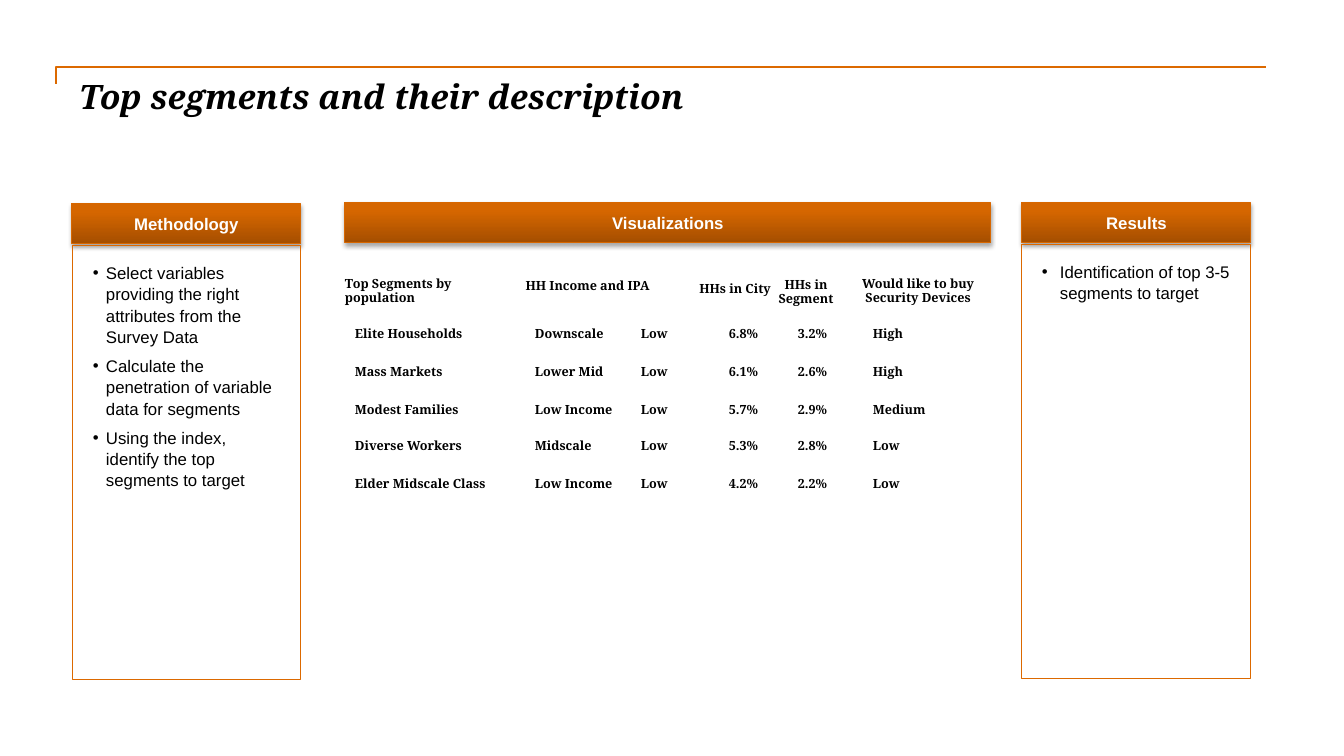
from pptx import Presentation
from pptx.dml.color import RGBColor
from pptx.enum.shapes import MSO_SHAPE as Shape
from pptx.enum.text import MSO_ANCHOR as Anchor, PP_ALIGN as Align
from pptx.oxml import parse_xml
from pptx.oxml.ns import nsdecls, qn
from pptx.util import Emu, Pt

TITLE = "Top segments and their description"
# heading, header box, body box, bullet indent, bullets
PANELS = [
    ("Methodology", (72, 204, 229, 40), (73, 246, 228, 434), 13,
     ["Select variables providing the right attributes from the Survey Data",
      "Calculate the penetration of variable data for segments",
      "Using the index, identify the top segments to target"]),
    ("Results", (1022, 203, 229, 40), (1022, 245, 229, 434), 18,
     ["Identification of top 3-5 segments to target"]),
]
VISUALS = ("Visualizations", (345, 203, 646, 40))
COLUMN_HEADS = [
    ("Top Segments by population", (345, 275, 148, 30), Align.LEFT),
    ("HH Income and IPA", (513, 278, 149, 15), Align.CENTER),
    ("HHs in City", (697, 281, 76, 15), Align.CENTER),
    ("HHs in Segment", (765, 276, 82, 30), Align.CENTER),
    ("Would like to buy Security Devices", (846, 275, 144, 30), Align.CENTER),
]
SEGMENTS = [
    ("Elite Households", "Downscale", "Low", "6.8%", "3.2%", "High"),
    ("Mass Markets", "Lower Mid", "Low", "6.1%", "2.6%", "High"),
    ("Modest Families", "Low Income", "Low", "5.7%", "2.9%", "Medium"),
    ("Diverse Workers", "Midscale", "Low", "5.3%", "2.8%", "Low"),
    ("Elder Midscale Class", "Low Income", "Low", "4.2%", "2.2%", "Low"),
]
TABLE_LEFT, TABLE_TOP = 345, 315
COLUMN_WIDTHS = [180, 106, 88, 69, 75, 100]
ROW_HEIGHTS = [36, 40, 36, 36, 40]
TITLE_RULE = [(56, 84), (56, 67), (1266, 67)]


class Theme:
    """Colours, fonts and type sizes."""
    ink, white = "000000", "FFFFFF"
    rule, header_line = "DC6900", "D76700"
    header_dark, header_light = "A44E00", "D56600"
    sans, serif = "Arial", "Noto Serif"
    title, body, small = 24, 12, 9


def px(value):
    """Turn pixels into EMU."""
    return Emu(round(value * 914400 / 100.8))


def place(box):
    """Turn a pixel box into EMU lengths."""
    return [px(value) for value in box]


def write(holder, paragraphs, *, size, font=Theme.sans, color=Theme.ink, bold=False,
          italic=False, align=Align.LEFT, anchor=Anchor.TOP, insets=(0, 0, 0, 0),
          spacing=None, before=0, indent=0):
    """Fill a shape or table cell with formatted paragraphs, bulleted if indented."""
    frame = holder.text_frame
    frame.word_wrap = True
    # A cell keeps its anchor and margins itself, a shape in its text frame.
    target = holder if hasattr(holder, "margin_left") else frame
    target.vertical_anchor = anchor
    for side, inset in zip(("left", "top", "right", "bottom"), insets):
        setattr(target, "margin_" + side, px(inset))
    for index, text in enumerate(paragraphs):
        para = frame.add_paragraph() if index else frame.paragraphs[0]
        para.alignment, para.space_before = align, Pt(before)
        if spacing:
            para.line_spacing = spacing
        if indent:
            props = para._p.get_or_add_pPr()
            props.set("marL", str(px(indent)))
            props.set("indent", str(-px(indent)))
            props.append(parse_xml(f'<a:buFont {nsdecls("a")} typeface="Arial"/>'))
            props.append(parse_xml(f'<a:buChar {nsdecls("a")} char="\u2022"/>'))
        span = para.add_run()
        span.text = text
        span.font.name, span.font.size = font, Pt(size)
        span.font.bold, span.font.italic = bold, italic
        span.font.color.rgb = RGBColor.from_string(color)


def outline(shape, color, width):
    """Give a shape a solid line and no theme shadow."""
    shape.shadow.inherit = False
    shape.line.color.rgb = RGBColor.from_string(color)
    shape.line.width = Pt(width)


def add_header(page, text, box):
    """Draw a gradient header bar with a soft shadow."""
    bar = page.shapes.add_shape(Shape.RECTANGLE, *place(box))
    outline(bar, Theme.header_line, 0.75)
    bar.fill.gradient()
    bar.fill.gradient_angle = 90
    stops = zip(bar.fill.gradient_stops, (0, 0.8), (Theme.header_dark, Theme.header_light))
    for stop, position, color in stops:
        stop.position = position
        stop.color.rgb = RGBColor.from_string(color)
    bar._element.spPr.find(qn("a:effectLst")).append(parse_xml(
        f'<a:outerShdw {nsdecls("a")} blurRad="{Pt(3.1)}" dist="{Pt(1.8)}" dir="5400000" '
        'rotWithShape="0"><a:srgbClr val="000000"><a:alpha val="35000"/></a:srgbClr>'
        '</a:outerShdw>'))
    write(bar, [text], size=Theme.body, color=Theme.white, bold=True,
          align=Align.CENTER, anchor=Anchor.MIDDLE, insets=(8, 4, 8, 4))


def add_panel(page, heading, header_box, body_box, indent, bullets):
    """Draw a header bar above an outlined list of bullets."""
    add_header(page, heading, header_box)
    body = page.shapes.add_shape(Shape.RECTANGLE, *place(body_box))
    body.fill.background()
    outline(body, Theme.rule, 0.75)
    write(body, bullets, size=Theme.body, insets=(20, 16, 20, 16),
          spacing=1.05, before=6, indent=indent)


def add_text(page, text, box, **style):
    """Add a text box."""
    write(page.shapes.add_textbox(*place(box)), [text], **style)


def add_segment_table(page):
    """Add the unruled table of segments."""
    table = page.shapes.add_table(
        len(SEGMENTS), len(COLUMN_WIDTHS), px(TABLE_LEFT), px(TABLE_TOP),
        px(sum(COLUMN_WIDTHS)), px(sum(ROW_HEIGHTS))).table
    table.first_row = table.horz_banding = False
    for column, width in zip(table.columns, COLUMN_WIDTHS):
        column.width = px(width)
    for row, height, values in zip(table.rows, ROW_HEIGHTS, SEGMENTS):
        row.height = px(height)
        for cell, value in zip(row.cells, values):
            cell.fill.background()
            write(cell, [value], size=Theme.small, font=Theme.serif, bold=True,
                  anchor=Anchor.MIDDLE, insets=(10, 1, 1, 0))


def add_title_rule(page):
    """Draw the bent rule above the title."""
    start, *points = [tuple(place(point)) for point in TITLE_RULE]
    builder = page.shapes.build_freeform(*start)
    builder.add_line_segments(points, close=False)
    rule = builder.convert_to_shape()
    rule.fill.background()
    outline(rule, Theme.rule, 1)


deck = Presentation()
deck.slide_width, deck.slide_height = px(1344), px(756)
page = deck.slides.add_slide(deck.slide_layouts[6])
add_title_rule(page)
add_text(page, TITLE, (79, 76, 1187, 101), size=Theme.title, font=Theme.serif,
         bold=True, italic=True)
for panel in PANELS:
    add_panel(page, *panel)
add_segment_table(page)
add_header(page, *VISUALS)
for text, box, align in COLUMN_HEADS:
    add_text(page, text, box, size=Theme.small, font=Theme.serif, bold=True,
             align=align, anchor=Anchor.BOTTOM, spacing=0.9)
deck.save("out.pptx")
